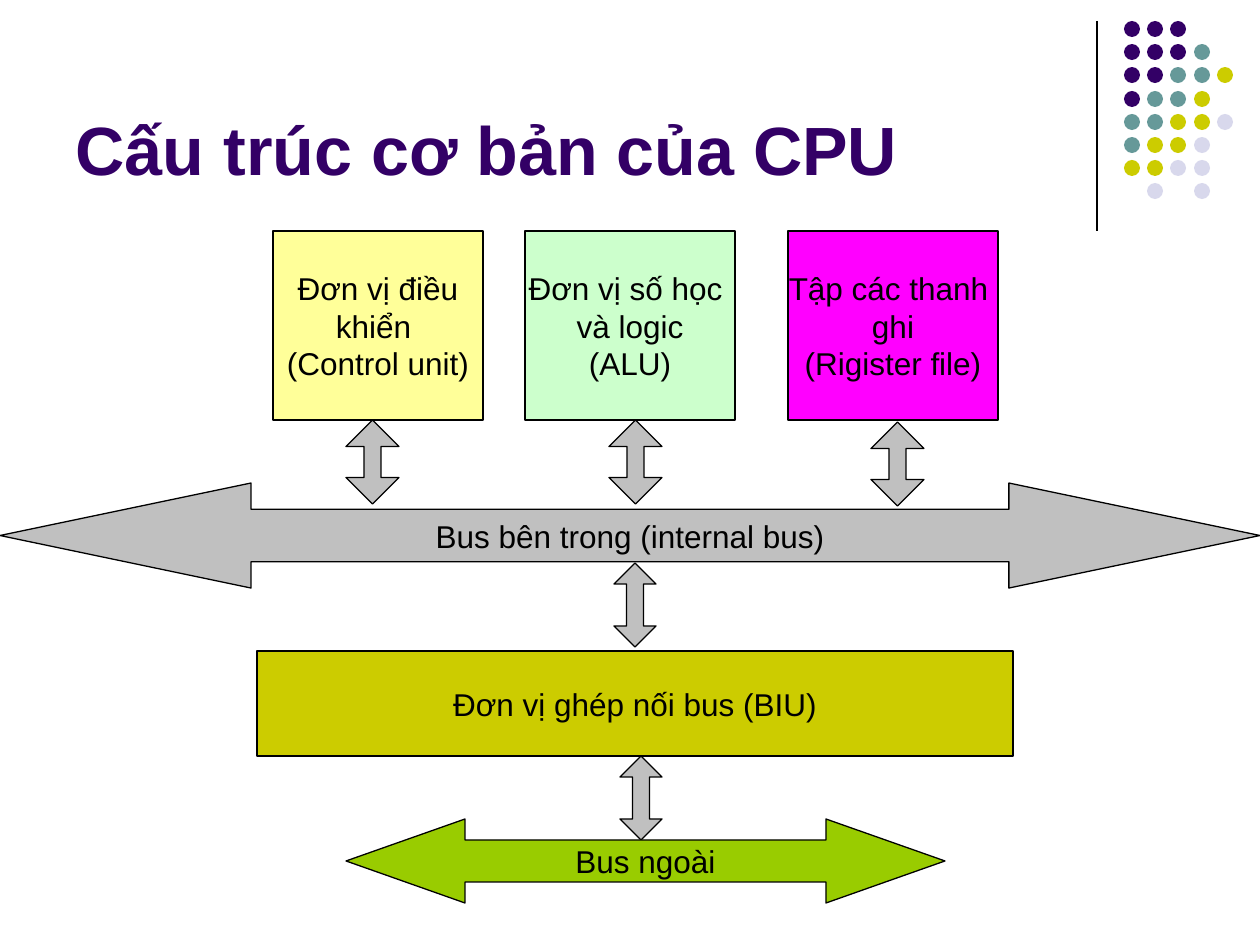
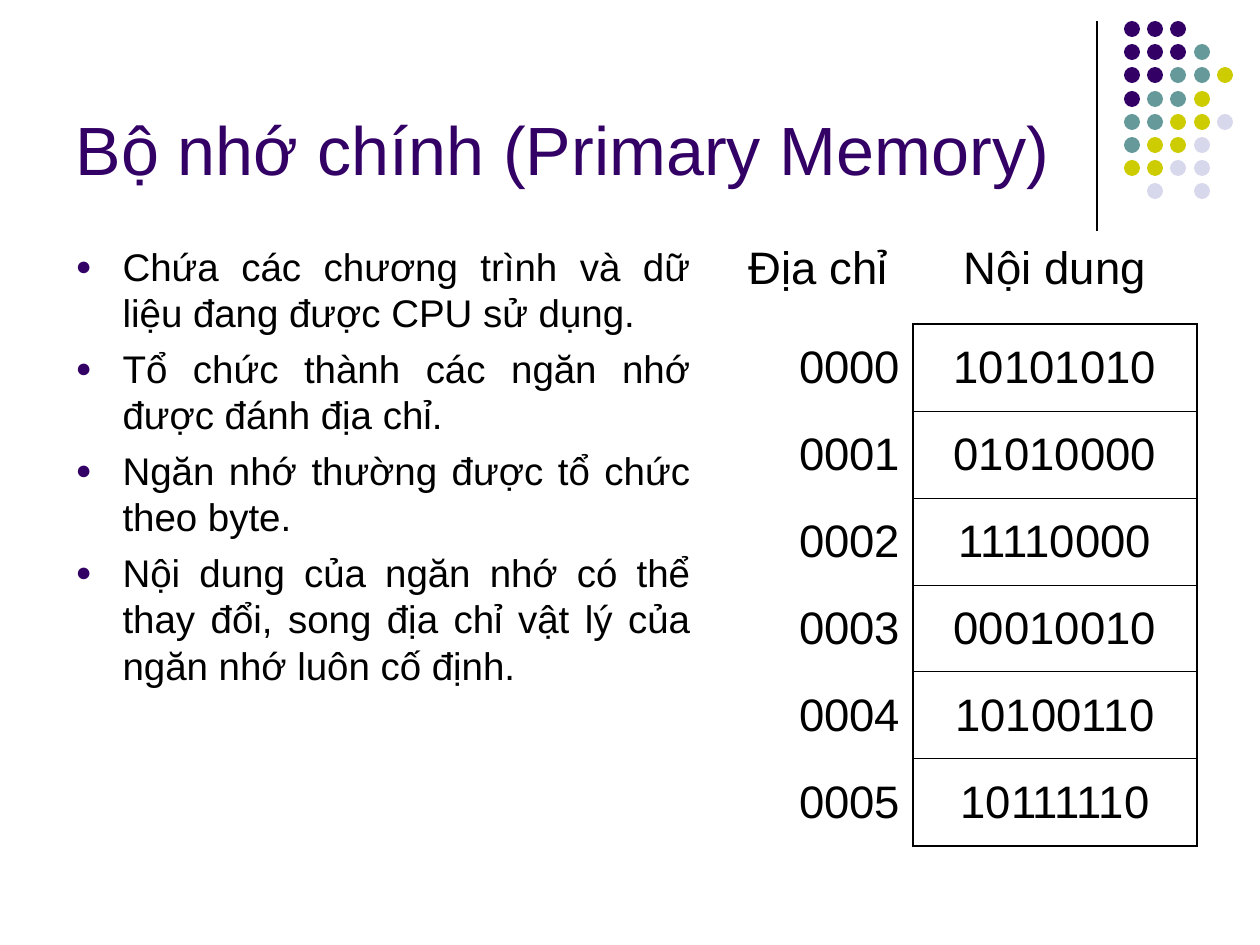
from lxml import etree
from pptx import Presentation
from pptx.dml.color import RGBColor
from pptx.enum.shapes import MSO_CONNECTOR as Link, MSO_SHAPE as Kind
from pptx.enum.text import MSO_ANCHOR as Anchor, MSO_AUTO_SIZE as Fit, PP_ALIGN as Align
from pptx.oxml import parse_xml
from pptx.oxml.ns import nsdecls, qn
from pptx.util import Pt

PX = 914400 / 126
BLACK, PURPLE, TEAL, OLIVE, PALE = "000000", "330066", "669999", "CCCC00", "D8D8EC"
GREY, YELLOW, MINT, PINK, GREEN = "C0C0C0", "FFFF99", "CCFFCC", "FF00FF", "99CC00"
FONT = "Arial"
hue = RGBColor.from_string


def px(*nums):
    """Turn px lengths into EMU."""
    return [round(n * PX) for n in nums]


def style(para, size, color, align, before=0):
    para.alignment = align
    para.space_before = Pt(before)
    para.font.name = FONT
    para.font.size = Pt(size)
    para.font.color.rgb = hue(color)


deck = Presentation()
deck.slide_width, deck.slide_height = px(1260, 945)

# Shared title style, rule and dot pattern
DOTS = ["PPP", "PPPT", "PPTTO", "PTTO", "TTOOL", "TOOL", "OOLL", " L L"]
TONES = {"P": PURPLE, "T": TEAL, "O": OLIVE, "L": PALE}
heads = [(5, "Cấu trúc cơ bản của CPU", True),
         (1, "Bộ nhớ chính (Primary Memory)", False)]
for layout, text, bold in heads:
    slide = deck.slides.add_slide(deck.slide_layouts[layout])
    rule = slide.shapes.add_connector(Link.STRAIGHT, *px(1097, 21, 1097, 231))
    rule.line.color.rgb = hue(BLACK)
    rule.line.width = Pt(0.75)
    etree.SubElement(rule._element.spPr, qn("a:effectLst"))
    for row, marks in enumerate(DOTS):
        for col, mark in enumerate(marks):
            if mark == " ":
                continue
            spot = px(1124 + round(23.2 * col), 21 + round(23.2 * row), 16, 16)
            dot = slide.shapes.add_shape(Kind.OVAL, *spot)
            dot.shadow.inherit = False
            dot.fill.solid()
            dot.fill.fore_color.rgb = hue(TONES[mark])
            dot.line.fill.background()
    title = slide.shapes.title
    title.left, title.top, title.width, title.height = px(63, 16, 1040, 179)
    frame = title.text_frame
    frame.text = text
    frame.auto_size = Fit.NONE
    frame.vertical_anchor = Anchor.BOTTOM
    style(frame.paragraphs[0], 39, PURPLE, Align.LEFT)
    frame.paragraphs[0].font.bold = bold

cpu, memory = deck.slides

# CPU diagram: kind, left, top, width, height, fill, arrowhead length, text
WIDE, TALL, RECT = Kind.LEFT_RIGHT_ARROW, Kind.UP_DOWN_ARROW, Kind.RECTANGLE
parts = [
    (WIDE, 0, 483, 1260, 105, GREY, 251, "Bus bên trong (internal bus)"),
    (RECT, 788, 231, 210, 189, PINK, 0, "Tập các thanh \nghi\n(Rigister file)"),
    (RECT, 273, 231, 210, 189, YELLOW, 0, "Đơn vị điều\nkhiển \n(Control unit)"),
    (RECT, 525, 231, 210, 189, MINT, 0, "Đơn vị số học \nvà logic\n(ALU)"),
    (TALL, 346, 420, 53, 84, GREY, 17, ""),
    (TALL, 609, 420, 53, 84, GREY, 17, ""),
    (TALL, 871, 422, 53, 84, GREY, 17, ""),
    (RECT, 257, 651, 756, 105, OLIVE, 0, "Đơn vị ghép nối bus (BIU)"),
    (TALL, 620, 756, 42, 84, GREY, 17, ""),
    (TALL, 614, 563, 42, 84, GREY, 17, ""),
    (WIDE, 346, 819, 599, 84, GREEN, 119, "Bus ngoài"),
]
for kind, left, top, width, height, fill, tip, text in parts:
    part = cpu.shapes.add_shape(kind, *px(left, top, width, height))
    part.shadow.inherit = False
    part.fill.solid()
    part.fill.fore_color.rgb = hue(fill)
    part.line.color.rgb = hue(BLACK)
    part.line.width = Pt(0.75)
    if tip:
        part.adjustments[0] = 0.5
        part.adjustments[1] = tip / min(width, height)
    if text:
        frame = part.text_frame
        frame.text = text
        frame.word_wrap = False
        frame.vertical_anchor = Anchor.MIDDLE
        for para in frame.paragraphs:
            style(para, 18, BLACK, Align.CENTER)

# Memory: bullet list
points = ["Chứa các chương trình và dữ liệu đang được CPU sử dụng.",
          "Tổ chức thành các ngăn nhớ được đánh địa chỉ.",
          "Ngăn nhớ thường được tổ chức theo byte.",
          "Nội dung của ngăn nhớ có thể thay đổi, song địa chỉ vật lý của ngăn nhớ luôn cố định."]
body = memory.placeholders[1]
body.left, body.top, body.width, body.height = px(63, 237, 640, 572)
frame = body.text_frame
frame.text = "\n".join(points)
frame.auto_size = Fit.NONE
for para in frame.paragraphs:
    style(para, 22, BLACK, Align.JUSTIFY, 5.5)
    props = para._p.get_or_add_pPr()
    indent = px(47)[0]
    props.set("marL", str(indent))
    props.set("indent", str(-indent))
    bullet = [f'<a:buClr {nsdecls("a")}><a:srgbClr val="{PURPLE}"/></a:buClr>',
              f'<a:buSzPct {nsdecls("a")} val="70000"/>',
              f'<a:buChar {nsdecls("a")} char="●"/>']
    for xml in bullet:
        props.find(qn("a:defRPr")).addprevious(parse_xml(xml))

# Memory: address table
cells = [("Địa chỉ", "Nội dung"), ("0000", "10101010"), ("0001", "01010000"),
         ("0002", "11110000"), ("0003", "00010010"), ("0004", "10100110"),
         ("0005", "10111110")]
last = len(cells) - 1
THICK, THIN = 1.08, 0.45
table = memory.shapes.add_table(len(cells), 2, *px(724, 237, 473, 609)).table
table.first_row = table.horz_banding = False
plain = "{2D5ABB26-0587-4C30-8999-92F81FD0307C}"
table._tbl.tblPr.find(qn("a:tableStyleId")).text = plain
table.columns[0].width, table.columns[1].width = px(189, 284)
for row, pair in enumerate(cells):
    table.rows[row].height = px(87)[0]
    for col, text in enumerate(pair):
        cell = table.cell(row, col)
        cell.text = text
        cell.vertical_anchor = Anchor.MIDDLE if row else Anchor.TOP
        align = Align.RIGHT if row and not col else Align.CENTER
        style(cell.text_frame.paragraphs[0], 26, BLACK, align, 6.5)
        edges = {}
        if col and row:
            edges = {"lnL": THICK, "lnR": THICK,
                     "lnT": THICK if row == 1 else THIN,
                     "lnB": THICK if row == last else THIN}
        elif col:
            edges = {"lnB": THICK}
        elif row:
            edges = {"lnR": THICK}
        props = cell._tc.get_or_add_tcPr()
        for side, size in edges.items():
            edge = etree.SubElement(props, qn(f"a:{side}"), w=str(Pt(size)))
            solid = etree.SubElement(edge, qn("a:solidFill"))
            etree.SubElement(solid, qn("a:srgbClr"), val=BLACK)
        cell.fill.background()

deck.save("out.pptx")
